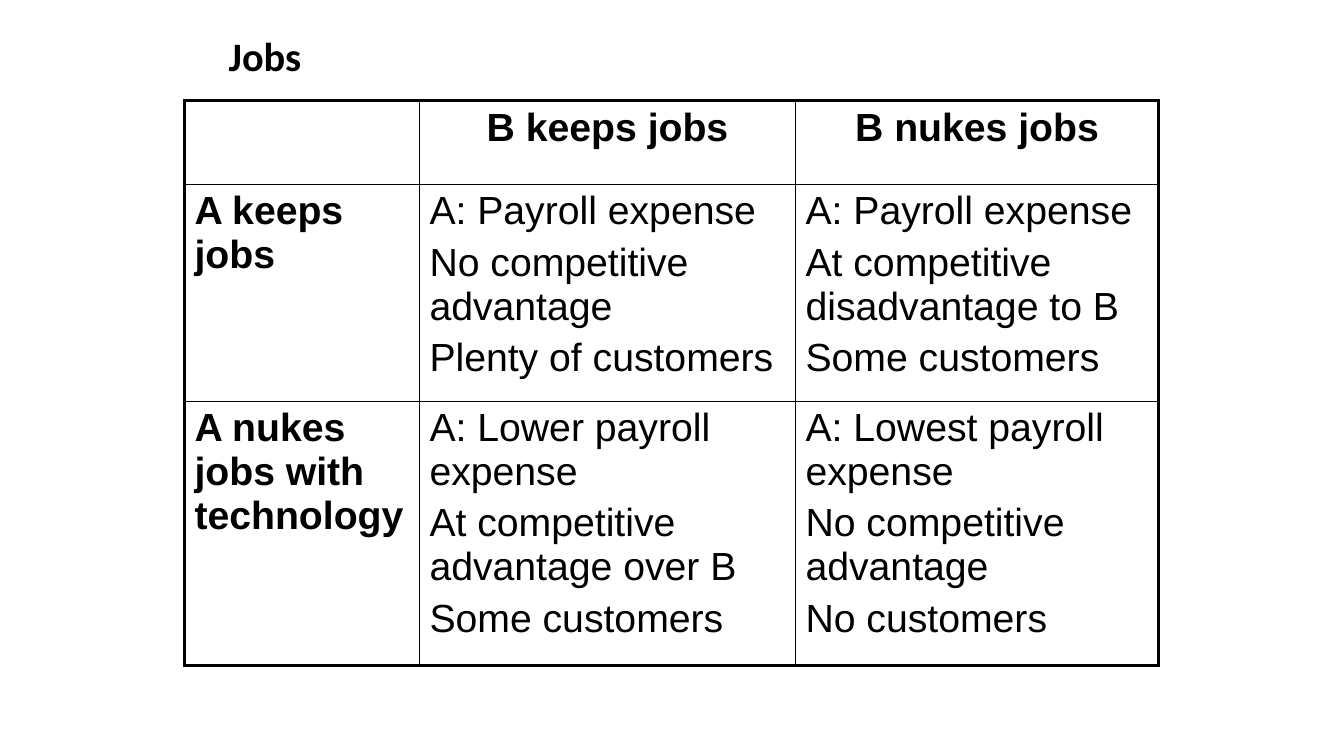
from dataclasses import dataclass

from lxml import etree
from pptx import Presentation
from pptx.dml.color import RGBColor
from pptx.enum.text import MSO_ANCHOR, PP_ALIGN
from pptx.oxml.ns import qn
from pptx.util import Emu, Pt

EMU_PER_PX = 9144
LEFT, CENTER = PP_ALIGN.LEFT, PP_ALIGN.CENTER
MIDDLE = MSO_ANCHOR.MIDDLE
COLORS = {"text": "000000", "border": "000000"}
OUTER_BORDER, INNER_BORDER = 2.25, 1
COLUMN_WIDTHS = (233, 373, 360)
ROW_HEIGHTS = (83, 215, 262)


@dataclass(frozen=True)
class CellText:
    lines: tuple[str, ...] = ()
    bold: bool = False
    align: PP_ALIGN = LEFT


JOBS_MATRIX = (
    (
        CellText(),
        CellText(("B keeps jobs",), True, CENTER),
        CellText(("B nukes jobs",), True, CENTER),
    ),
    (
        CellText(("A keeps jobs",), True),
        CellText(("A: Payroll expense", "No competitive advantage", "Plenty of customers")),
        CellText(("A: Payroll expense", "At competitive disadvantage to B", "Some customers")),
    ),
    (
        CellText(("A nukes jobs with technology",), True),
        CellText(("A: Lower payroll expense", "At competitive advantage over B", "Some customers")),
        CellText(("A: Lowest payroll expense", "No competitive advantage", "No customers")),
    ),
)


def px(length: int) -> Emu:
    return Emu(length * EMU_PER_PX)


def style_font(font, name: str, size: float, bold: bool) -> None:
    font.name = name
    font.size = Pt(size)
    font.bold = bold
    font.color.rgb = RGBColor.from_string(COLORS["text"])


def add_border(cell, side: str, width: float) -> None:
    properties = cell._tc.get_or_add_tcPr()
    line = etree.SubElement(properties, qn(f"a:ln{side}"), w=str(Pt(width)))
    fill = etree.SubElement(line, qn("a:solidFill"))
    etree.SubElement(fill, qn("a:srgbClr"), val=COLORS["border"])


def fill_cell(cell, content: CellText) -> None:
    cell.fill.background()
    frame = cell.text_frame
    for index, line in enumerate(content.lines):
        paragraph = frame.add_paragraph() if index else frame.paragraphs[0]
        paragraph.text = line
        paragraph.alignment = content.align
        if index:
            paragraph.space_before = Pt(5.6)
        style_font(paragraph.font, "Arial", 28, content.bold)


def add_title(slide) -> None:
    frame = slide.shapes.add_textbox(px(217), px(33), px(900), px(50)).text_frame
    frame.word_wrap = True
    frame.vertical_anchor = MIDDLE
    paragraph = frame.paragraphs[0]
    paragraph.text = "Jobs"
    paragraph.line_spacing = 0.9
    style_font(paragraph.font, "Calibri", 28.8, True)


def add_jobs_table(slide) -> None:
    row_count, column_count = len(ROW_HEIGHTS), len(COLUMN_WIDTHS)
    table = slide.shapes.add_table(
        row_count, column_count, px(183), px(100),
        px(sum(COLUMN_WIDTHS)), px(sum(ROW_HEIGHTS)),
    ).table
    table.first_row = False
    table.horz_banding = False
    for column, width in zip(table.columns, COLUMN_WIDTHS):
        column.width = px(width)
    for row, height in zip(table.rows, ROW_HEIGHTS):
        row.height = px(height)
    for row_index, contents in enumerate(JOBS_MATRIX):
        for column_index, content in enumerate(contents):
            cell = table.cell(row_index, column_index)
            outer_sides = {
                "L": column_index == 0,
                "R": column_index == column_count - 1,
                "T": row_index == 0,
                "B": row_index == row_count - 1,
            }
            for side, is_outer in outer_sides.items():
                add_border(cell, side, OUTER_BORDER if is_outer else INNER_BORDER)
            fill_cell(cell, content)


def main() -> None:
    presentation = Presentation()
    presentation.slide_width = px(1333)
    presentation.slide_height = px(750)
    slide = presentation.slides.add_slide(presentation.slide_layouts[6])
    add_title(slide)
    add_jobs_table(slide)
    presentation.save("out.pptx")


if __name__ == "__main__":
    main()
